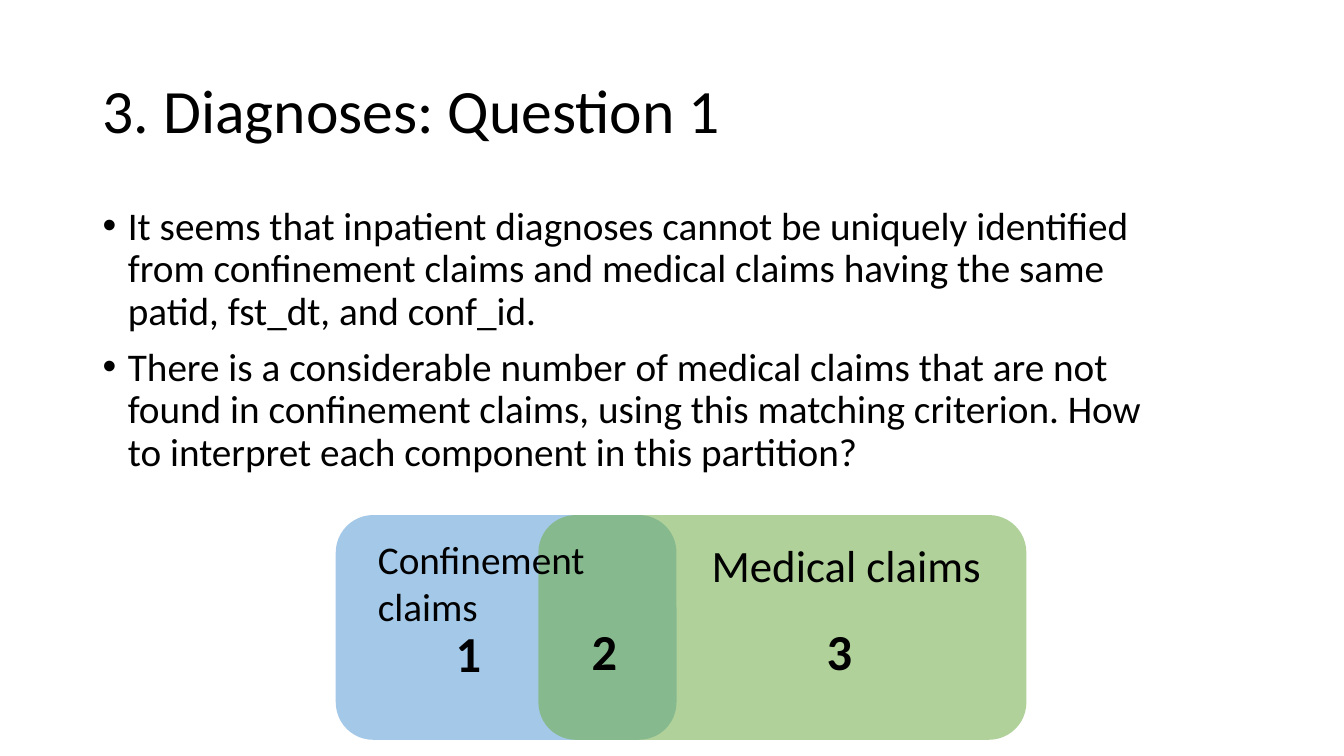
from lxml.etree import SubElement
from pptx import Presentation
from pptx.dml.color import RGBColor
from pptx.enum.shapes import MSO_SHAPE
from pptx.enum.text import MSO_ANCHOR
from pptx.oxml.ns import qn
from pptx.util import Inches, Pt

FONT, INK = "Calibri", "000000"
TITLE = "3. Diagnoses: Question 1"
POINTS = [
    "It seems that inpatient diagnoses cannot be uniquely identified from confinement claims "
    "and medical claims having the same patid, fst_dt, and conf_id.",
    "There is a considerable number of medical claims that are not found in confinement claims, "
    "using this matching criterion. How to interpret each component in this partition?",
]
WIDTH, HEIGHT = 13.33, 7.5
MARGIN = 0.92
SET_TOP, SET_HEIGHT, OPACITY = 5.11, 2.23, 55
CLAIM_SETS = [(3.33, 3.38, "5B9BD5"), (5.34, 4.84, "70AD47")]
SET_LABELS = [
    ("Confinement claims", (3.65, 5.26, 2.75, 1.04), 28),
    ("Medical claims", (6.96, 5.29, 2.95, 0.64), 32),
]
PART_NUMBERS = [("1", 4.42, 6.12), ("2", 5.77, 6.1), ("3", 8.1, 6.1)]


def color(value):
    return RGBColor.from_string(value)


def add_claim_set(page, left, width, fill):
    box = page.shapes.add_shape(
        MSO_SHAPE.ROUNDED_RECTANGLE,
        *map(Inches, (left, SET_TOP, width, SET_HEIGHT)))
    box.shadow.inherit = False
    box.line.fill.background()
    box.fill.solid()
    box.fill.fore_color.rgb = color(fill)
    tint = next(box.element.spPr.iter(qn("a:srgbClr")))
    SubElement(tint, qn("a:alpha"), val=str(OPACITY * 1000))


def add_text(page, lines, area, size, bold=False, spacing=1.0):
    box = page.shapes.add_textbox(*map(Inches, area))
    frame = box.text_frame
    frame.word_wrap = True
    frame.text = "\n".join(lines)
    for paragraph in frame.paragraphs:
        paragraph.line_spacing = spacing
        for span in paragraph.runs:
            span.font.name = FONT
            span.font.size = Pt(size)
            span.font.bold = bold
            span.font.color.rgb = color(INK)
    return frame


def add_bullet(paragraph):
    paragraph.space_before = Pt(10)
    properties = paragraph._p.get_or_add_pPr()
    properties.set("marL", str(Inches(0.25)))
    properties.set("indent", str(Inches(-0.25)))
    SubElement(properties, qn("a:buFont"), typeface="Arial")
    SubElement(properties, qn("a:buChar"), char="•")


def main():
    """Build the slide on diagnosis claims and save it."""
    deck = Presentation()
    deck.slide_width, deck.slide_height = Inches(WIDTH), Inches(HEIGHT)
    page = deck.slides.add_slide(deck.slide_layouts[6])

    for claim_set in CLAIM_SETS:
        add_claim_set(page, *claim_set)

    title = add_text(page, [TITLE], (MARGIN, 0.4, 11.5, 1.45), 44, spacing=0.9)
    title.vertical_anchor = MSO_ANCHOR.MIDDLE

    for label, area, size in SET_LABELS:
        add_text(page, [label], area, size)
    for number, left, top in PART_NUMBERS:
        add_text(page, [number], (left, top, 0.3, 0.71), 36, bold=True)

    body = add_text(page, POINTS, (MARGIN, 2, 10.71, 4.32), 28, spacing=0.9)
    for paragraph in body.paragraphs:
        add_bullet(paragraph)

    deck.save("out.pptx")


if __name__ == "__main__":
    main()
